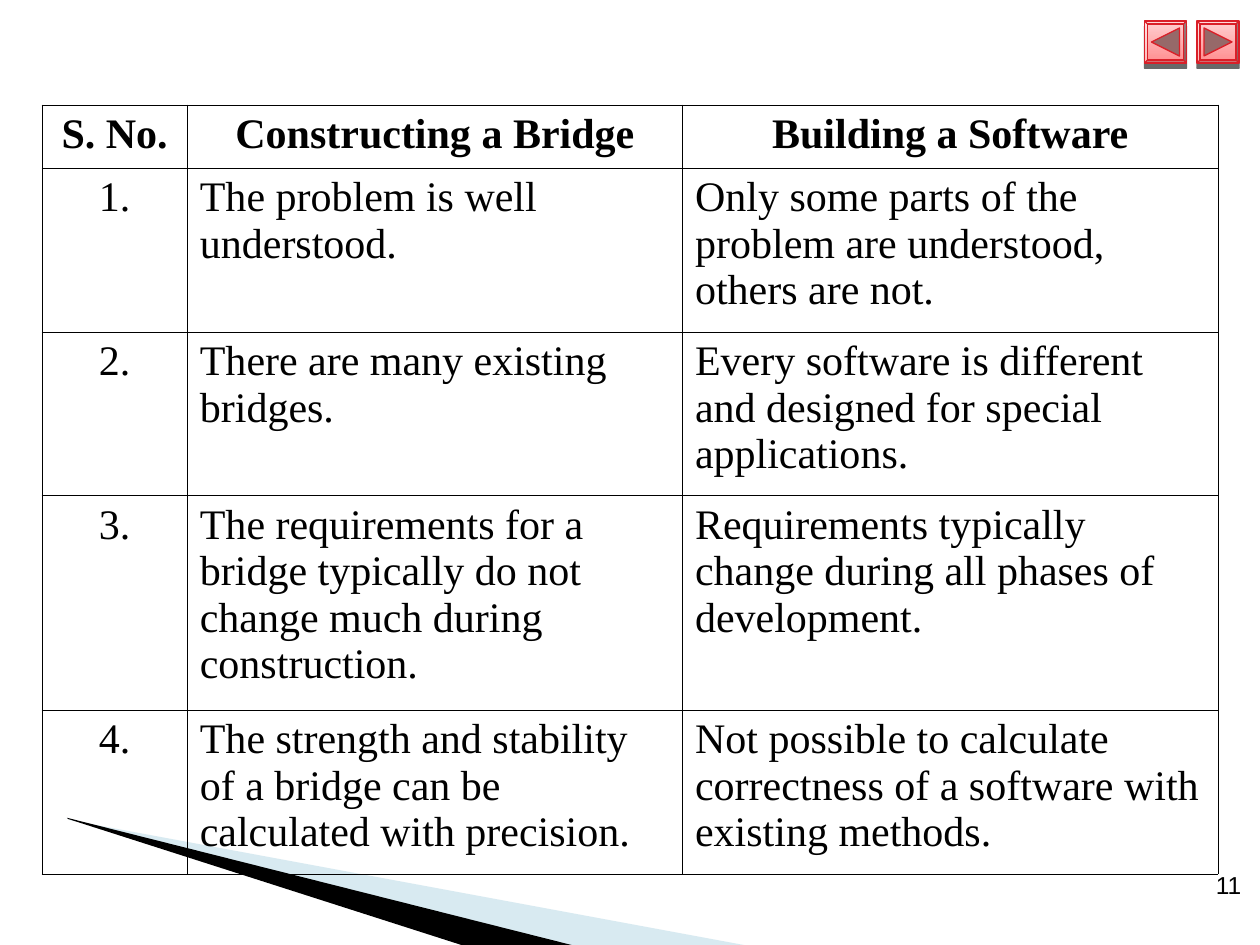
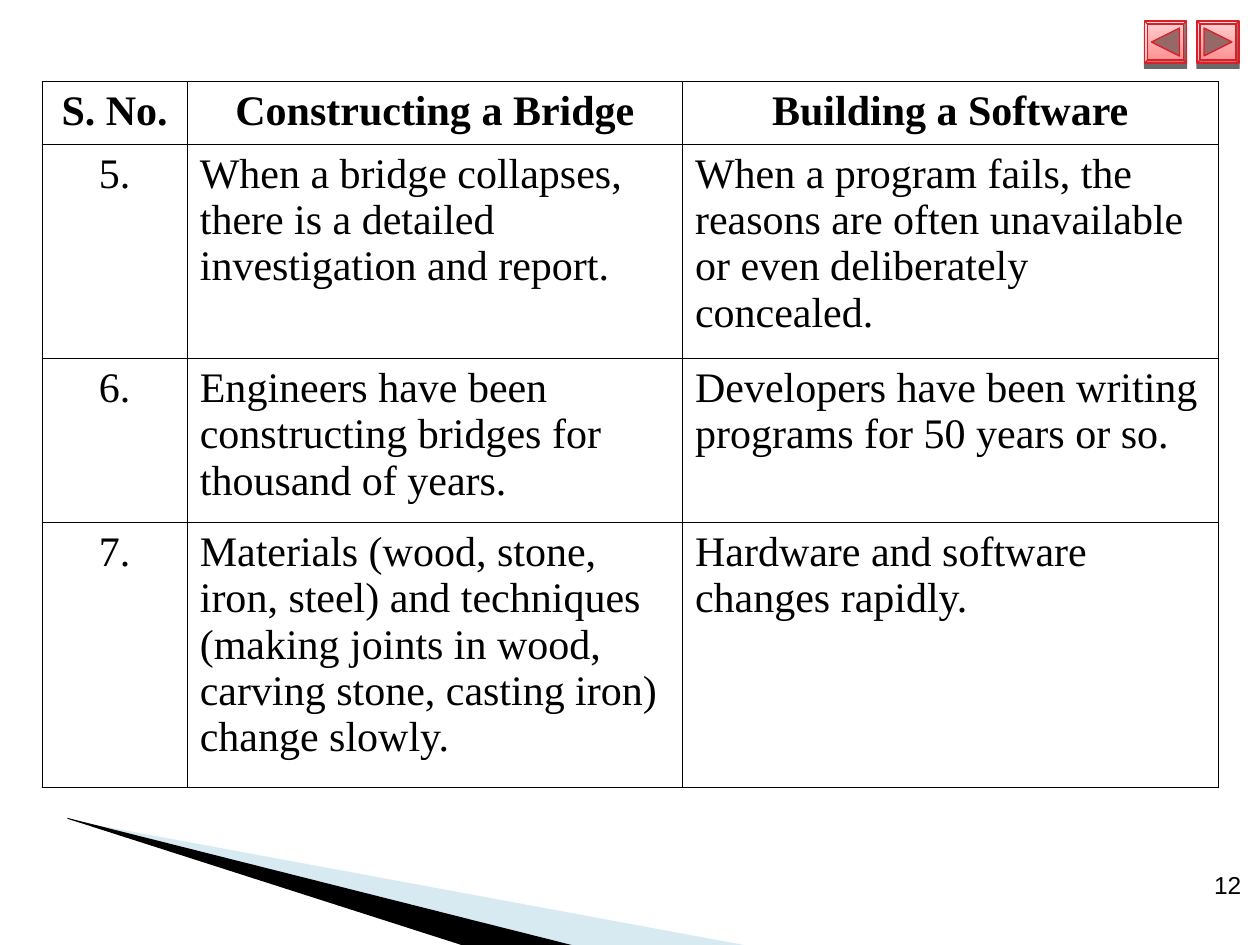
from lxml import etree
from pptx import Presentation
from pptx.dml.color import RGBColor
from pptx.enum import shapes, text
from pptx.oxml import ns
from pptx.util import Pt

HEAD = ("S. No.", "Constructing a Bridge", "Building a Software")
# Each page: number, table top, rows of (line count, bridge, software)
PAGES = [
    (11, 60, [
        (3, "The problem is well understood.",
         "Only some parts of the problem are understood, others are not."),
        (3, "There are many existing bridges.",
         "Every software is different and designed for special applications."),
        (4, "The requirements for a bridge typically do not change much during construction.",
         "Requirements typically change during all phases of development."),
        (3, "The strength and stability of a bridge can be calculated with precision.",
         "Not possible to calculate correctness of a software with existing methods."),
    ]),
    (12, 46.5, [
        (4, "When a bridge collapses, there is a detailed investigation and report.",
         "When a program fails, the reasons are often unavailable or even deliberately concealed."),
        (3, "Engineers have been constructing bridges for thousand of years.",
         "Developers have been writing programs for 50 years or so."),
        (5, "Materials (wood, stone, iron, steel) and techniques (making joints in wood, "
            "carving stone, casting iron) change slowly.",
         "Hardware and software changes rapidly."),
    ]),
]

BLACK = RGBColor(0, 0, 0)
SKY = RGBColor(0x9F, 0xCB, 0xDC)
RED = RGBColor(0xDA, 0x1F, 0x28)
ROSE = RGBColor(0xFF, 0x8D, 0x8F)
PINK = RGBColor(0xFF, 0xD0, 0xD1)
MAUVE = RGBColor(0x96, 0x69, 0x69)

COLS = (83, 283, 306)
LEFT, LINE, PAD = 24, 28.8, 7.2
WEDGES = [
    (SKY, 40, [(39.6, 468.6), (428.4, 540.6), (328.4, 540.6), (39.6, 468)]),
    (BLACK, 100, [(38.2, 467.3), (329, 540.6), (267.8, 541.3), (38.9, 468)]),
]
BUTTONS = [(654, -90), (684, 90)]  # left edge, turn of the arrow
TOP, SIDE, INSET = 12, 24, 4
BODY = dict(name="Times New Roman", size=Pt(24), bold=False)
BOLD = dict(BODY, bold=True)
FOOT = dict(name="Arial", size=Pt(14))


def put(para, words, style, align):
    run = para.add_run()
    run.text = words
    para.alignment = align
    run.font.color.rgb = BLACK
    for key, val in style.items():
        setattr(run.font, key, val)


def sub(node, tag, **attrs):
    return etree.SubElement(node, ns.qn(tag), attrs)


def fade(color, pct):
    """Set the opacity of the colour held by an XML node."""
    sub(color, "a:alpha", val=str(pct * 1000))


def wedge(slide, color, pct, pts):
    pts = [(Pt(x), Pt(y)) for x, y in pts]
    pen = slide.shapes.build_freeform(*pts[0])
    pen.add_line_segments(pts[1:])
    shape = pen.convert_to_shape()
    shape.shadow.inherit = False
    shape.fill.solid()
    shape.fill.fore_color.rgb = color
    shape.line.fill.background()
    if pct < 100:
        fade(shape.element.spPr.find(".//" + ns.qn("a:srgbClr")), pct)


def square(slide, kind, left, top, side):
    shape = slide.shapes.add_shape(kind, Pt(left), Pt(top), Pt(side), Pt(side))
    shape.shadow.inherit = False
    shape.line.color.rgb = RED
    shape.line.width = Pt(0.75)
    return shape


def button(slide, left, turn):
    key = square(slide, shapes.MSO_SHAPE.BEVEL, left, TOP, SIDE)
    key.adjustments[0] = 0.07
    key.fill.gradient()
    key.fill.gradient_angle = 90
    for stop, color in zip(key.fill.gradient_stops, (ROSE, PINK)):
        stop.color.rgb = color
    glow = key.element.spPr.find(ns.qn("a:effectLst"))
    shade = sub(glow, "a:outerShdw", blurRad="0", dist=str(Pt(3)),
                dir="5400000", rotWithShape="0")
    fade(sub(shade, "a:srgbClr", val=str(BLACK)), 58)
    arrow = square(slide, shapes.MSO_SHAPE.ISOSCELES_TRIANGLE,
                   left + INSET, TOP + INSET, SIDE - 2 * INSET)
    arrow.rotation = turn
    arrow.fill.solid()
    arrow.fill.fore_color.rgb = MAUVE


def footer(slide, num):
    box = slide.shapes.add_textbox(Pt(566.6), Pt(483.8), Pt(149.8), Pt(30.2))
    frame = box.text_frame
    frame.word_wrap = True
    frame.vertical_anchor = text.MSO_ANCHOR.BOTTOM
    frame.margin_top = frame.margin_bottom = 0
    put(frame.paragraphs[0], str(num), FOOT, text.PP_ALIGN.RIGHT)


def border(cell):
    props = cell._tc.get_or_add_tcPr()
    for i, side in enumerate(("a:lnL", "a:lnR", "a:lnT", "a:lnB")):
        edge = etree.Element(ns.qn(side), w=str(Pt(0.45)))
        sub(sub(edge, "a:solidFill"), "a:srgbClr", val=str(BLACK))
        props.insert(i, edge)


def grid(slide, top, rows, first):
    """Draw the comparison table, numbering its rows from first."""
    lines = [1] + [row[0] for row in rows]
    cells = [HEAD] + [(f"{n}.", *row[1:]) for n, row in enumerate(rows, first)]
    highs = [PAD + LINE * n for n in lines]
    table = slide.shapes.add_table(len(cells), len(COLS), Pt(LEFT), Pt(top),
                                   Pt(sum(COLS)), Pt(sum(highs))).table
    table.first_row = table.horz_banding = False
    for col, wide in zip(table.columns, COLS):
        col.width = Pt(wide)
    for r, (row, high) in enumerate(zip(cells, highs)):
        table.rows[r].height = Pt(high)
        for c, words in enumerate(row):
            cell = table.cell(r, c)
            cell.fill.background()
            border(cell)
            mid = r == 0 or c == 0
            put(cell.text_frame.paragraphs[0], words, BODY if r else BOLD,
                text.PP_ALIGN.CENTER if mid else text.PP_ALIGN.LEFT)


def main():
    deck = Presentation()
    deck.slide_width, deck.slide_height = Pt(720), Pt(540)
    first = 1
    for num, top, rows in PAGES:
        slide = deck.slides.add_slide(deck.slide_layouts[6])
        for item in WEDGES:
            wedge(slide, *item)
        for item in BUTTONS:
            button(slide, *item)
        footer(slide, num)
        grid(slide, top, rows, first)
        first += len(rows)
    deck.save("out.pptx")


if __name__ == "__main__":
    main()
